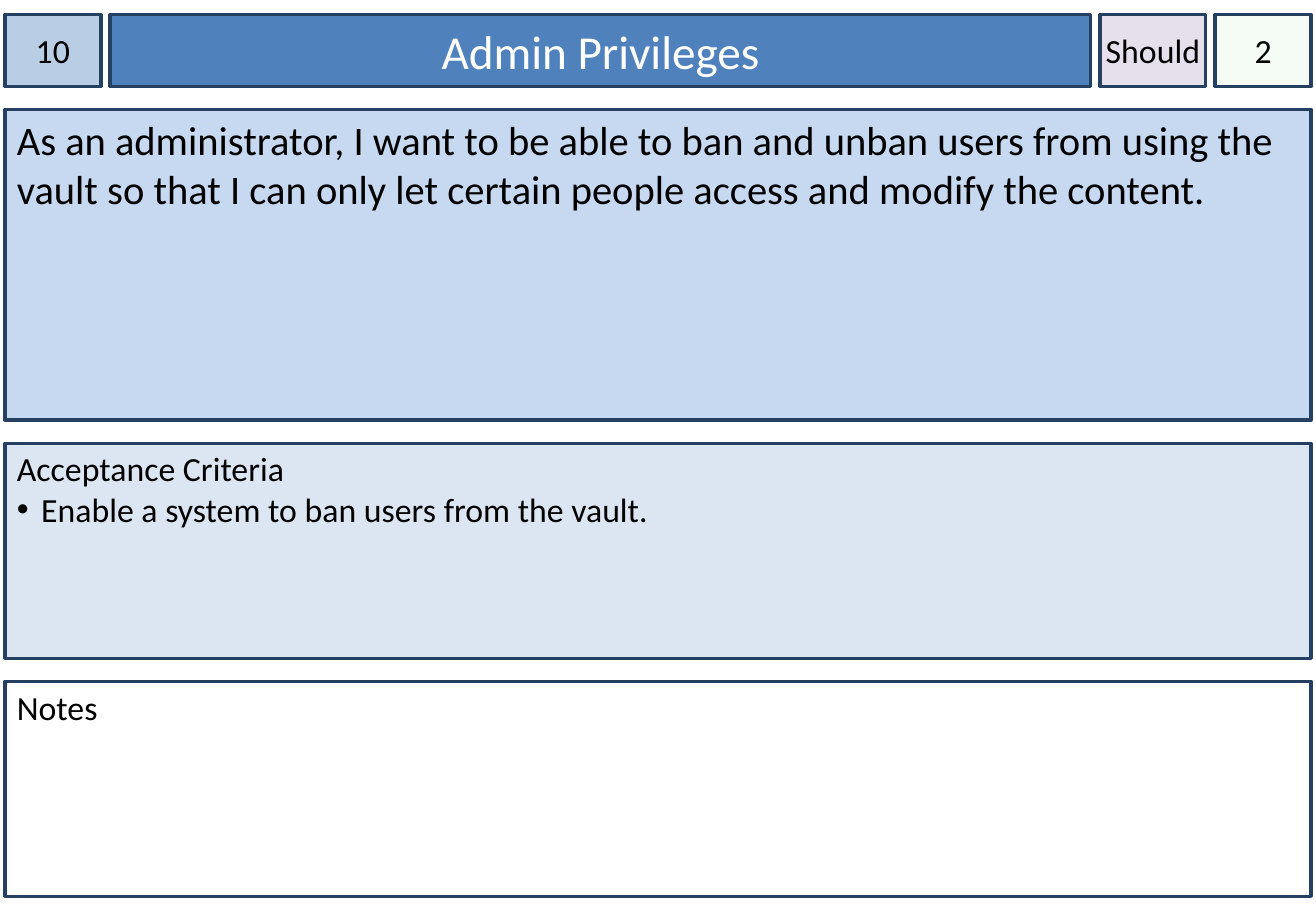
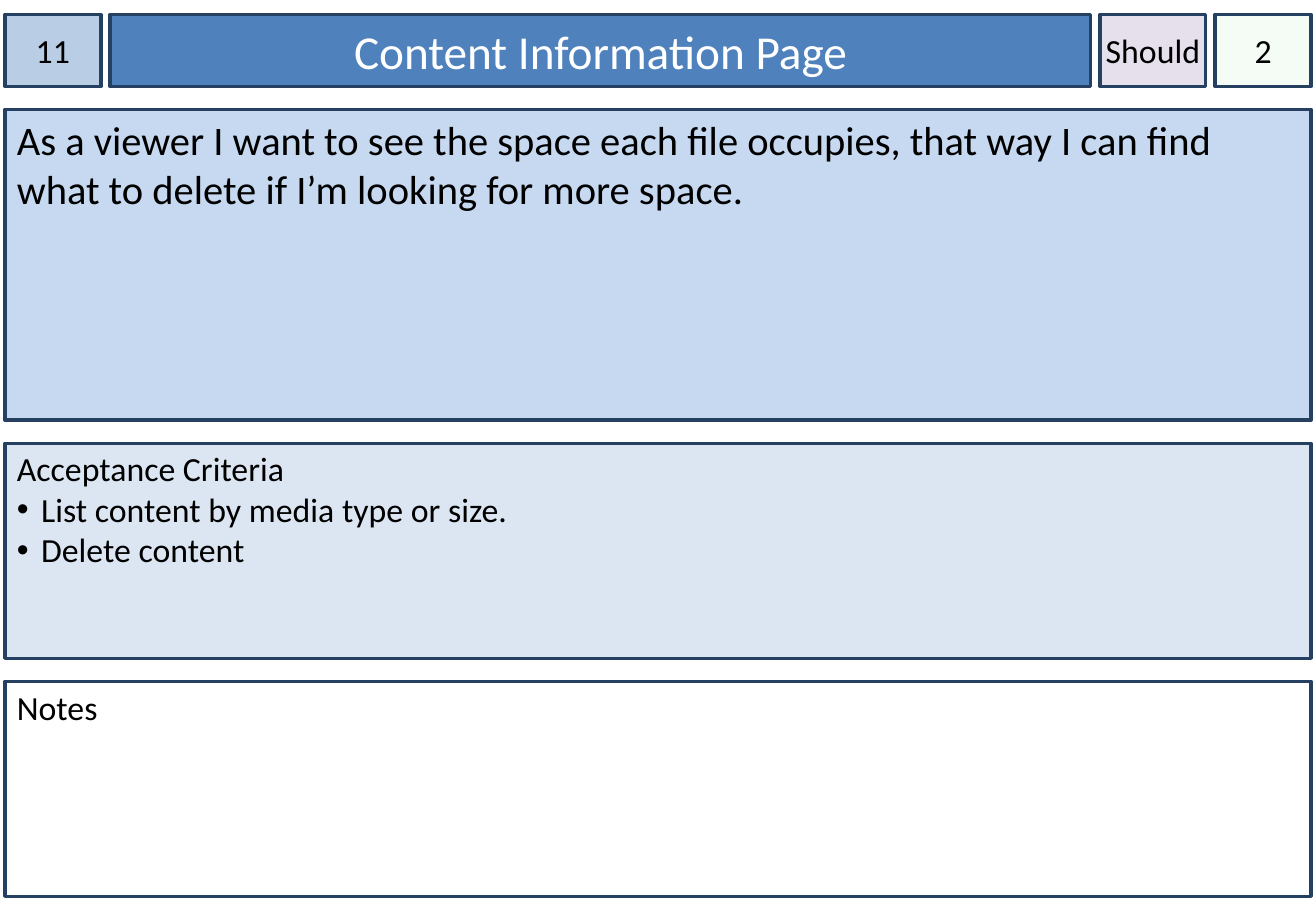
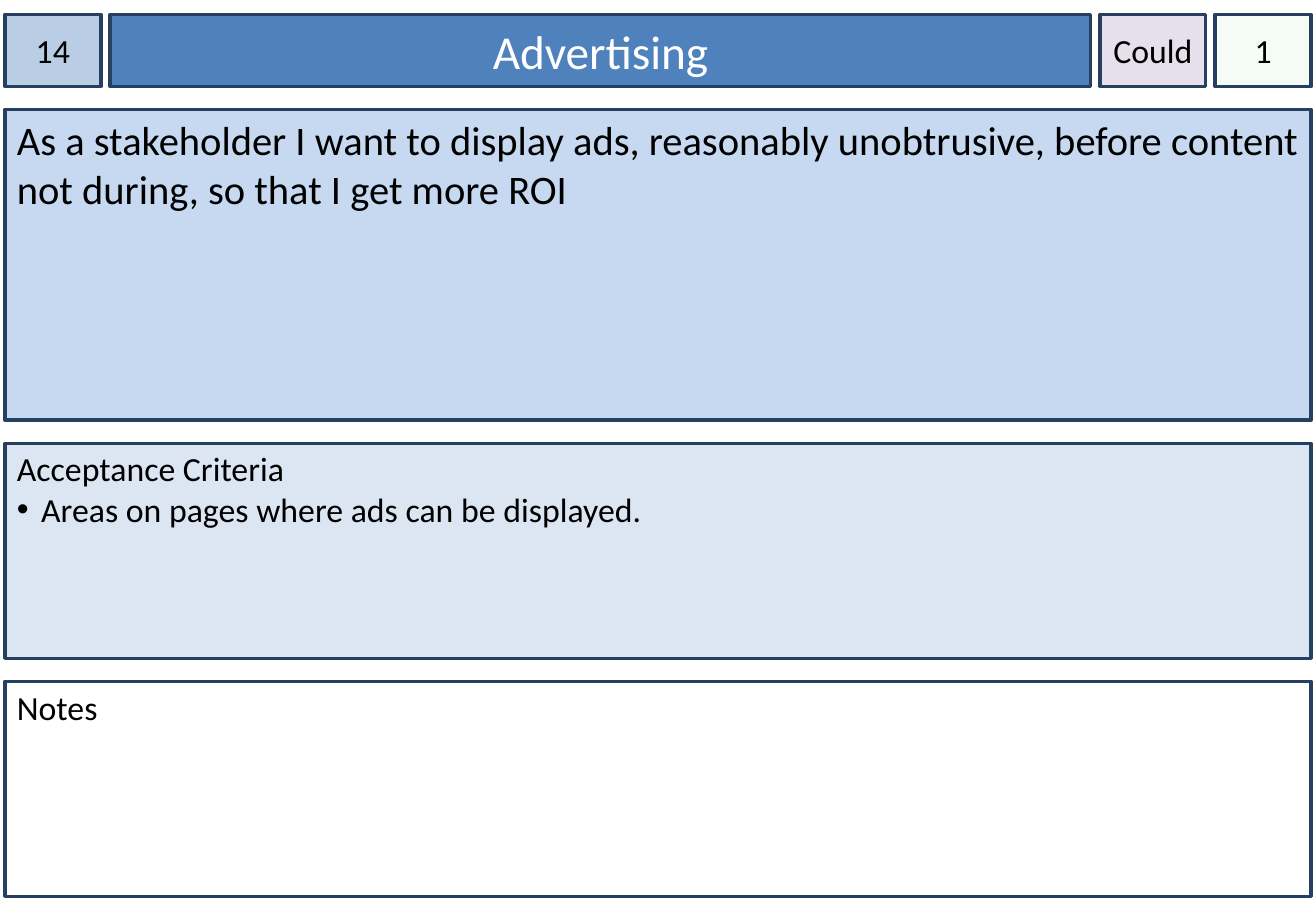
import pptx
import pptx.util
import pptx.dml.color
import pptx.enum.shapes
import pptx.enum.text
import pptx.oxml
import pptx.oxml.ns

CARDS = [
    dict(
        number="10", title="Admin Privileges", rank="Should", points="2",
        story="As an administrator, I want to be able to ban and unban users from using the "
              "vault so that I can only let certain people access and modify the content.",
        tests=["Enable a system to ban users from the vault."],
    ),
    dict(
        number="11", title="Content Information Page", rank="Should", points="2",
        story="As a viewer I want to see the space each file occupies, that way I can find "
              "what to delete if I\u2019m looking for more space.",
        tests=["List content by media type or size.", "Delete content"],
    ),
    dict(
        number="14", title="Advertising", rank="Could", points="1",
        story="As a stakeholder I want to display ads, reasonably unobtrusive, before content "
              "not during, so that I get more ROI",
        tests=["Areas on pages where ads can be displayed."],
    ),
]

COLORS = dict(
    number="B9CDE5", title="4F81BD", rank="E6E0EC", points="CCF0CD",
    story="C6D9F1", tests="DCE6F2", notes="FFFFFF",
    line="254061", dark="000000", light="FFFFFF",
)
FONT = "Calibri"
LEFT, TOP, WIDTH, GAP = 0.04, 0.12, 10.75, 0.19
HEAD = dict(number=0.79, title=8.07, rank=0.87, points=0.79)
ROWS = dict(head=0.59, story=2.56, tests=1.77, notes=1.77)

Inches = pptx.util.Inches
Align = pptx.enum.text.PP_ALIGN
Anchor = pptx.enum.text.MSO_ANCHOR


def spread(start, sizes, gap):
    spots = {}
    for name, size in sizes.items():
        spots[name] = start, size
        start += size + gap
    return spots


def place():
    rows = spread(TOP, ROWS, GAP)
    space = (WIDTH - sum(HEAD.values())) / (len(HEAD) - 1)
    top, tall = rows.pop("head")
    boxes = {name: (x, top, wide, tall)
             for name, (x, wide) in spread(LEFT, HEAD, space).items()}
    boxes.update({name: (LEFT, y, WIDTH, high) for name, (y, high) in rows.items()})
    return boxes


def color(name):
    return pptx.dml.color.RGBColor.from_string(COLORS[name])


def child(parent, tag, **attrs):
    node = pptx.oxml.parse_xml(f"<a:{tag} {pptx.oxml.ns.nsdecls('a')}/>")
    for key, value in attrs.items():
        node.set(key, value)
    parent.append(node)


def write(shape, text, bullets=(), size=20, ink="dark", align=Align.LEFT,
          anchor=Anchor.TOP, inset=(0.1, 0.05), wrap=True):
    frame = shape.text_frame
    frame.auto_size = pptx.enum.text.MSO_AUTO_SIZE.NONE
    frame.word_wrap = wrap
    frame.vertical_anchor = anchor
    side, top = inset
    frame.margin_left = frame.margin_right = Inches(side)
    frame.margin_top, frame.margin_bottom = Inches(top), Inches(0.05)
    frame.text = "\n".join([text, *bullets])
    for index, para in enumerate(frame.paragraphs):
        para.alignment = align
        font = para.runs[0].font
        font.name, font.size = FONT, pptx.util.Pt(size)
        font.color.rgb = color(ink)
        if index:
            props = para._p.get_or_add_pPr()
            props.set("marL", str(Inches(0.2)))
            props.set("indent", str(-Inches(0.2)))
            child(props, "buFont", typeface="Arial")
            child(props, "buChar", char="\u2022")


def panel(slide, name, box):
    area = [Inches(part) for part in box]
    if name == "title":
        shape = slide.shapes.title
        shape.left, shape.top, shape.width, shape.height = area
    else:
        shape = slide.shapes.add_shape(pptx.enum.shapes.MSO_SHAPE.RECTANGLE, *area)
        shape.shadow.inherit = False
    shape.fill.solid()
    shape.fill.fore_color.rgb = color(name)
    if name == "points":
        tint = shape._element.spPr.find(".//" + pptx.oxml.ns.qn("a:srgbClr"))
        child(tint, "alpha", val="20000")
    shape.line.color.rgb = color("line")
    shape.line.width = pptx.util.Pt(2)
    return shape


MID = dict(align=Align.CENTER, anchor=Anchor.MIDDLE)
BADGE = dict(MID, inset=(0, 0.05))
BLOCK = dict(inset=(0.1, 0.04))
STYLES = dict(
    number=BADGE, title=dict(MID, size=28, ink="light"),
    rank=dict(BADGE, wrap=False), points=BADGE,
    story=dict(size=24), tests=BLOCK, notes=BLOCK,
)
LABELS = dict(tests="Acceptance Criteria", notes="Notes")

deck = pptx.Presentation()
deck.slide_width, deck.slide_height = Inches(10.83), Inches(7.5)
for card in CARDS:
    slide = deck.slides.add_slide(deck.slide_layouts[5])
    for name, box in place().items():
        shape = panel(slide, name, box)
        bullets = card["tests"] if name == "tests" else ()
        write(shape, LABELS.get(name) or card[name], bullets, **STYLES[name])
deck.save("out.pptx")
